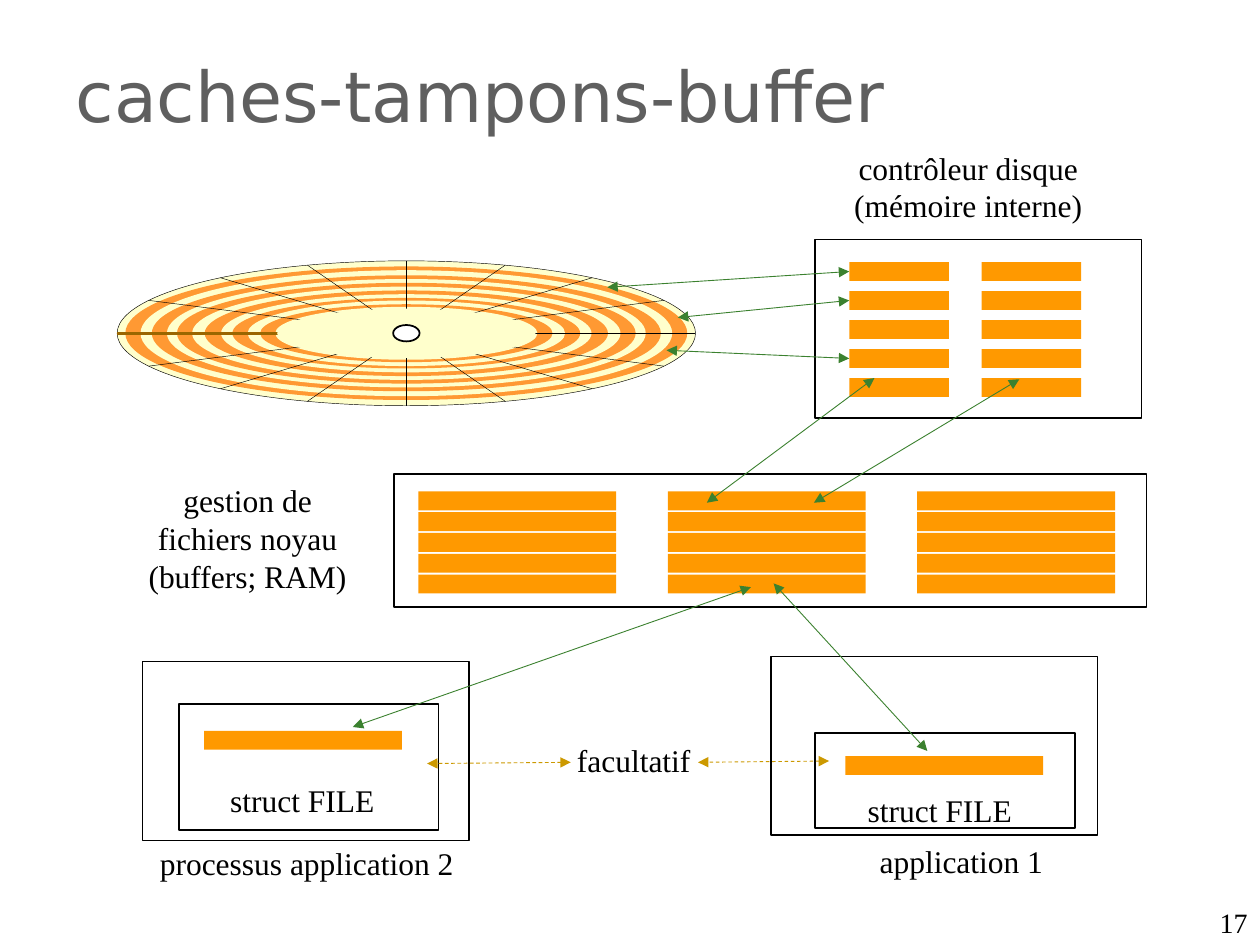
import math

from lxml import etree
from pptx import Presentation
from pptx.dml.color import RGBColor
from pptx.enum import dml, shapes, text
from pptx.oxml import ns
from pptx.util import Inches, Pt

TITLE = "caches-tampons-buffer"
PAGE_NUMBER = "17"
SERIF = "Times New Roman"
BLACK, CREAM, RING, BUFFER = "000000", "FFFFCC", "FF9933", "FF9900"
GREEN, OCHRE, BROWN = "3B812F", "CC9900", "996600"

# Disk: centre, outer radii, and (outer radii, inner radii) of each track
CENTRE = (3.225, 2.645)
DISK_RADII = (2.295, 0.575)
TRACKS = [
    ((2.23, 0.53), (2.11, 0.5)),
    ((2.02, 0.46), (1.9, 0.43)),
    ((1.82, 0.4), (1.7, 0.37)),
    ((1.6, 0.34), (1.47, 0.31)),
    ((1.38, 0.28), (1.26, 0.26)),
    ((1.16, 0.23), (1.04, 0.21)),
]
SPOKE_ANGLES = [27, 50, 70, 90, 110, 130, 153]
HUB_RADII = (1.025, 0.195)
HOLE_RADII = (0.105, 0.065)

# left, top, width, height
FRAMES = [
    (6.47, 1.9, 2.59, 1.42),   # disk controller
    (3.13, 3.76, 5.97, 1.06),  # kernel
    (1.13, 5.25, 2.59, 1.42),  # application 2
    (6.12, 5.21, 2.59, 1.42),  # application 1
    (1.42, 5.59, 2.06, 1),     # struct FILE of application 2
    (6.47, 5.82, 2.06, 0.75),  # struct FILE of application 1
]

# left, top, width, row pitch, rows
BUFFER_HEIGHT = 0.15
BANKS = [
    (6.74, 2.08, 0.79, 0.23, 5),
    (7.79, 2.08, 0.79, 0.23, 5),
    (3.32, 3.9, 1.57, 0.165, 5),
    (5.3, 3.9, 1.57, 0.165, 5),
    (7.28, 3.9, 1.57, 0.165, 5),
    (1.62, 5.8, 1.57, 0, 1),
    (6.71, 6, 1.57, 0, 1),
]

LABELS = [
    ("contrôleur disque (mémoire interne)", 6.48, 1.13, 2.41, 0.7),
    ("application 1", 6.87, 6.63, 1.52, 0.4),
    ("gestion de fichiers noyau (buffers; RAM)", 1.06, 3.77, 1.81, 1),
    ("processus application 2", 1.06, 6.65, 2.75, 0.4),
    ("struct FILE", 1.45, 6.15, 1.9, 0.4),
    ("struct FILE", 6.51, 6.23, 1.9, 0.4),
    ("facultatif", 4.27, 5.83, 1.52, 0.4),
]

# Point on the disk, row of the controller's first bank
DISK_TRANSFERS = [((4.82, 2.28), 0), ((5.38, 2.52), 1), ((5.29, 2.78), 3)]
MEMORY_TRANSFERS = [
    ((2.8, 5.77), (5.96, 4.66)),
    ((6.46, 3.99), (8.09, 3.01)),
    ((5.61, 3.99), (6.94, 3)),
    ((7.36, 5.96), (6.14, 4.63)),
]
OPTIONAL_LINKS = [((4.53, 6.05), (3.39, 6.06)), ((6.58, 6.04), (5.54, 6.05))]

prs = Presentation()
prs.slide_width, prs.slide_height = Inches(10), Inches(7.5)
slide = prs.slides.add_slide(prs.slide_layouts[5])


def rgb(hex_colour):
    return RGBColor.from_string(hex_colour)


def add_preset(kind, box, fill=None, line=None, width=1):
    shape = slide.shapes.add_shape(kind, *map(Inches, box))
    shape.shadow.inherit = False
    if fill:
        shape.fill.solid()
        shape.fill.fore_color.rgb = rgb(fill)
    else:
        shape.fill.background()
    if line:
        shape.line.color.rgb = rgb(line)
        shape.line.width = Pt(width)
    else:
        shape.line.fill.background()
    return shape


def add_ellipse(radii, **look):
    """Draw an ellipse around the centre of the disk."""
    (cx, cy), (rx, ry) = CENTRE, radii
    add_preset(shapes.MSO_SHAPE.OVAL, (cx - rx, cy - ry, 2 * rx, 2 * ry), **look)


def on_rim(degrees):
    angle = math.radians(degrees)
    return (CENTRE[0] + DISK_RADII[0] * math.cos(angle),
            CENTRE[1] + DISK_RADII[1] * math.sin(angle))


def add_line(start, end, colour, width, arrows=False, dashed=False):
    line = slide.shapes.add_connector(
        shapes.MSO_CONNECTOR.STRAIGHT, *map(Inches, (*start, *end)))
    line.line.color.rgb = rgb(colour)
    line.line.width = Pt(width)
    if dashed:
        line.line.dash_style = dml.MSO_LINE.DASH
    properties = line._element.spPr
    if arrows:
        for tag in ("a:headEnd", "a:tailEnd"):
            etree.SubElement(properties.find(ns.qn("a:ln")), ns.qn(tag), type="triangle")
    etree.SubElement(properties, ns.qn("a:effectLst"))
    return line


def write(frame, words, size, font, colour, align):
    frame.word_wrap = True
    paragraph = frame.paragraphs[0]
    paragraph.alignment = align
    run = paragraph.add_run()
    run.text = words
    run.font.size, run.font.name = Pt(size), font
    run.font.color.rgb = rgb(colour)


def add_label(words, box, size=18, align=text.PP_ALIGN.CENTER):
    frame = slide.shapes.add_textbox(*map(Inches, box)).text_frame
    write(frame, words, size, SERIF, BLACK, align)
    return frame


title = slide.shapes.title
title.left, title.top, title.width, title.height = map(Inches, (0.5, 0.33, 7.13, 0.84))
title.text_frame.auto_size = text.MSO_AUTO_SIZE.NONE
title.text_frame.vertical_anchor = text.MSO_ANCHOR.MIDDLE
write(title.text_frame, TITLE, 40, "DejaVu Sans", "5F5F5F", text.PP_ALIGN.LEFT)

page = add_label(PAGE_NUMBER, (7.67, 7.14, 2.33, 0.36), 16, text.PP_ALIGN.RIGHT)
page.vertical_anchor = text.MSO_ANCHOR.BOTTOM

add_ellipse(DISK_RADII, fill=CREAM, line=BLACK, width=0.25)
for outer, inner in TRACKS:
    add_ellipse(outer, fill=RING)
    add_ellipse(inner, fill=CREAM)
add_line(on_rim(180), CENTRE, BROWN, 1.5)
for angle in SPOKE_ANGLES:
    add_line(on_rim(angle), on_rim(angle + 180), BLACK, 0.25)
add_line(CENTRE, on_rim(0), BLACK, 0.25)
add_ellipse(HUB_RADII, fill=CREAM)
add_ellipse(HOLE_RADII, fill="FFFFFF", line=BLACK)

for frame_box in FRAMES:
    add_preset(shapes.MSO_SHAPE.RECTANGLE, frame_box, line=BLACK)
banks = [
    [add_preset(shapes.MSO_SHAPE.RECTANGLE,
                (left, top + row * pitch, width, BUFFER_HEIGHT), fill=BUFFER)
     for row in range(rows)]
    for left, top, width, pitch, rows in BANKS
]
for words, *label_box in LABELS:
    add_label(words, label_box)

for point, row in DISK_TRANSFERS:
    add_line(point, point, GREEN, 0.5, arrows=True).end_connect(banks[0][row], 1)
for start, end in MEMORY_TRANSFERS:
    add_line(start, end, GREEN, 0.5, arrows=True)
for start, end in OPTIONAL_LINKS:
    add_line(start, end, OCHRE, 0.5, arrows=True, dashed=True)

prs.save("out.pptx")
